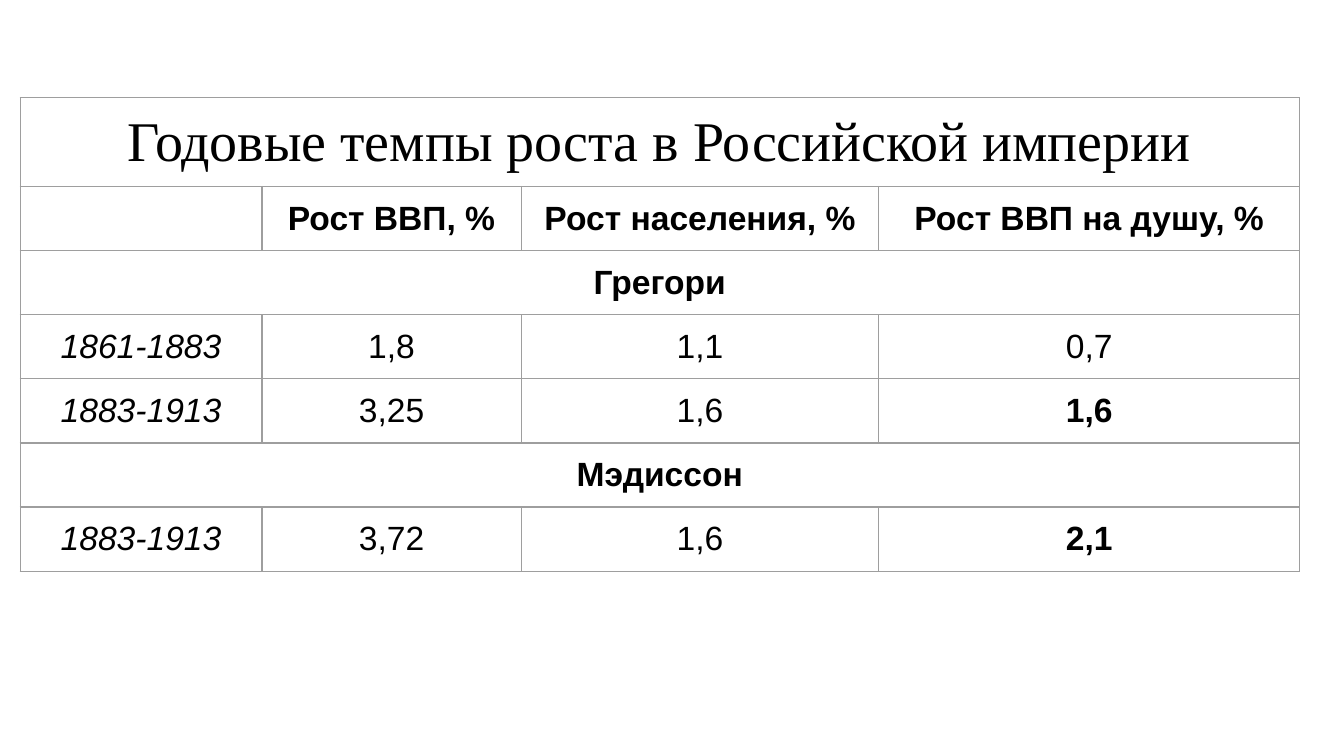
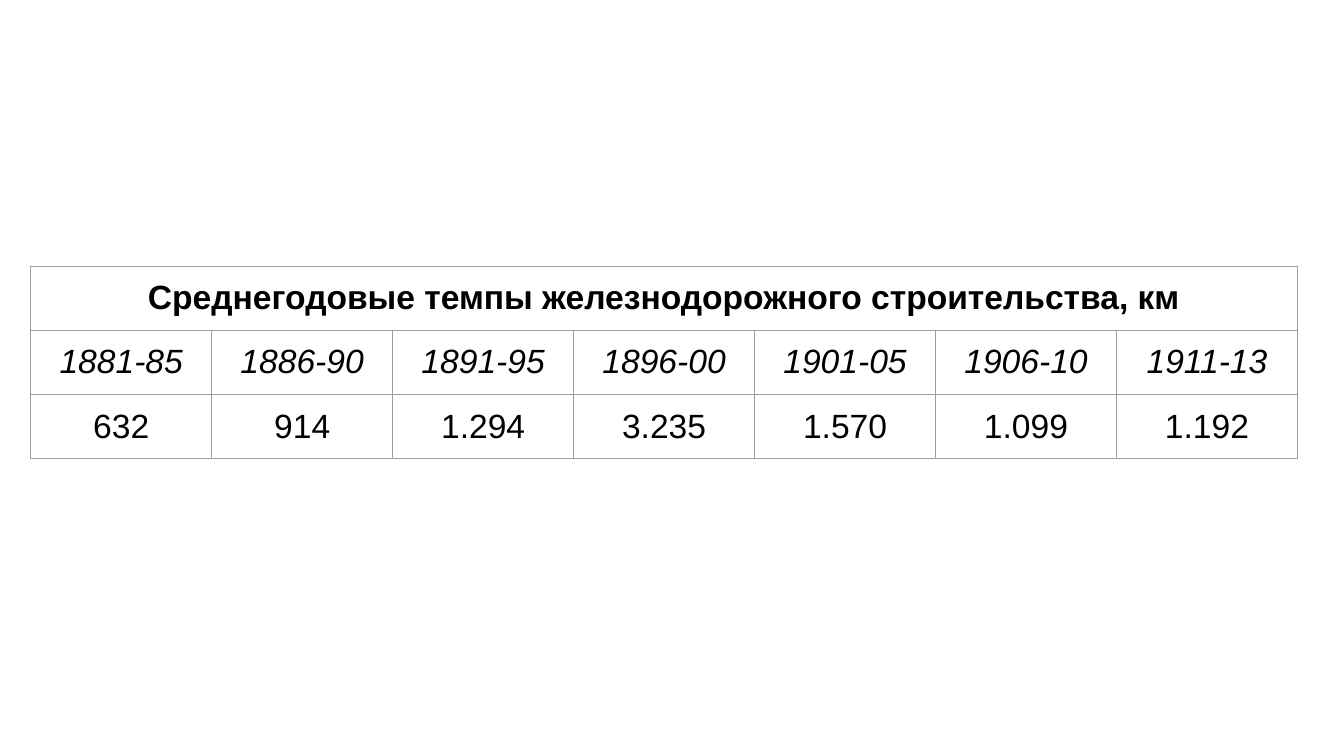
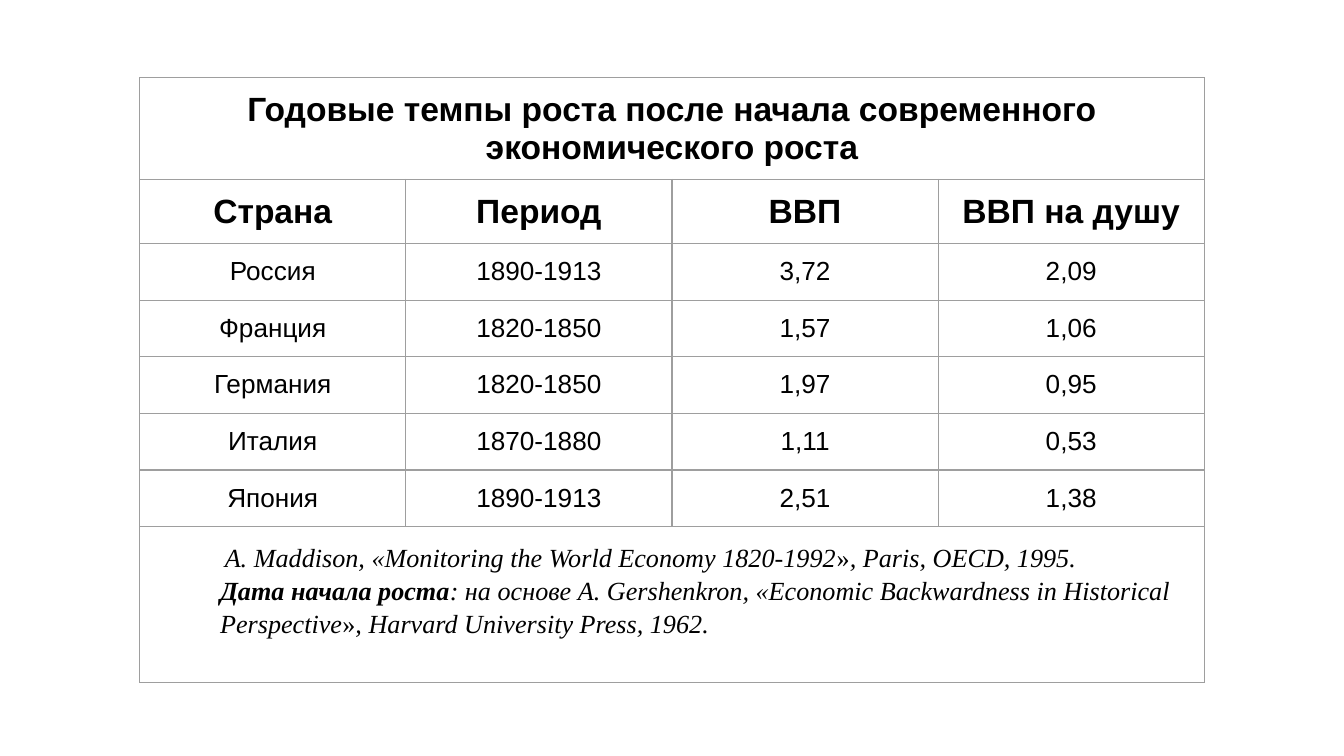
from dataclasses import dataclass
from typing import NamedTuple

from lxml import etree
from pptx import Presentation
from pptx.dml.color import RGBColor
from pptx.enum.text import MSO_ANCHOR, PP_ALIGN
from pptx.oxml.ns import qn
from pptx.util import Cm, Length, Pt

CENTER = PP_ALIGN.CENTER
LEFT = PP_ALIGN.LEFT
TOP = MSO_ANCHOR.TOP
BLANK_LAYOUT = 6
SIDES = ("lnL", "lnR", "lnT", "lnB")


@dataclass(frozen=True)
class Theme:
    ink: str = "000000"
    rule: str = "9E9E9E"
    rule_width: Length = Pt(0.75)
    sans: str = "Arial"
    serif: str = "Times New Roman"
    headline: int = 30
    body: int = 18
    small: int = 14
    tiny: int = 10
    cell_margin: Length = Cm(0.25)
    row_height: Length = Cm(1.07)
    note_indent: Length = Cm(1.27)
    note_spacing: float = 1.15


THEME = Theme()


class Style(NamedTuple):
    size: int = THEME.body
    font: str = THEME.sans
    bold: bool = False
    italic: bool = False


class Span(NamedTuple):
    text: str
    style: Style


class Para(NamedTuple):
    spans: tuple[Span, ...]
    note: bool = False


Cell = tuple[Para, ...]


@dataclass(frozen=True)
class Row:
    cells: tuple[Cell, ...]
    height: Length = THEME.row_height


@dataclass(frozen=True)
class Sheet:
    left: Length
    top: Length
    widths: tuple[Length, ...]
    rows: tuple[Row, ...]


PLAIN = Style()
BOLD = Style(bold=True)
ITALIC = Style(italic=True)
SMALL = Style(size=THEME.small)
HEADLINE = Style(size=THEME.headline, font=THEME.serif)
NOTE = Style(size=THEME.small, font=THEME.serif, italic=True)
NOTE_BOLD = NOTE._replace(bold=True)
NOTE_UPRIGHT = NOTE._replace(italic=False)
NOTE_LEAD = NOTE._replace(size=THEME.tiny)


def cell_of(text: str, style: Style) -> Cell:
    return (Para((Span(text, style),) if text else ()),)


def row_of(style: Style, *texts: str) -> Row:
    return Row(tuple(cell_of(text, style) for text in texts))


def period_row(period: str, growth: str, population: str, per_head: str,
               per_head_style: Style = PLAIN) -> Row:
    return Row((cell_of(period, ITALIC), cell_of(growth, PLAIN),
                cell_of(population, PLAIN), cell_of(per_head, per_head_style)))


SOURCES: Cell = (
    Para((
        Span(" ", NOTE_LEAD),
        Span("A. Maddison, «Monitoring the World Economy 1820-1992", NOTE),
        Span("»", NOTE_UPRIGHT),
        Span(", Paris, OECD, 1995.", NOTE),
    ), note=True),
    Para((
        Span("Дата начала роста", NOTE_BOLD),
        Span(": на основе A. Gershenkron, «Economic Backwardness in Historical Perspective", NOTE),
        Span("»", NOTE_UPRIGHT),
        Span(", Harvard University Press, 1962.", NOTE),
    ), note=True),
)

EMPIRE_GROWTH = Sheet(
    Cm(0.38), Cm(1.85), (Cm(4.57), Cm(4.9), Cm(6.76), Cm(7.95)),
    (
        row_of(HEADLINE, "Годовые темпы роста в Российской империи"),
        row_of(BOLD, "", "Рост ВВП, %", "Рост населения, %", "Рост ВВП на душу, %"),
        row_of(BOLD, "Грегори"),
        period_row("1861-1883", "1,8", "1,1", "0,7"),
        period_row("1883-1913", "3,25", "1,6", "1,6", BOLD),
        row_of(BOLD, "Мэдиссон"),
        period_row("1883-1913", "3,72", "1,6", "2,1", BOLD),
    ),
)

RAILWAYS = Sheet(
    Cm(0.58), Cm(5.03), (Cm(3.42),) * 7,
    (
        row_of(BOLD, "Среднегодовые темпы железнодорожного строительства, км"),
        row_of(ITALIC, "1881-85", "1886-90", "1891-95", "1896-00",
               "1901-05", "1906-10", "1911-13"),
        row_of(PLAIN, "632", "914", "1.294", "3.235", "1.570", "1.099", "1.192"),
    ),
)

COUNTRIES = Sheet(
    Cm(2.64), Cm(1.47), (Cm(5.03),) * 4,
    (
        row_of(BOLD, "Годовые темпы роста после начала современного экономического роста"),
        row_of(BOLD, "Страна", "Период", "ВВП", "ВВП на душу"),
        row_of(SMALL, "Россия", "1890-1913", "3,72", "2,09"),
        row_of(SMALL, "Франция", "1820-1850", "1,57", "1,06"),
        row_of(SMALL, "Германия", "1820-1850", "1,97", "0,95"),
        row_of(SMALL, "Италия", "1870-1880", "1,11", "0,53"),
        row_of(SMALL, "Япония", "1890-1913", "2,51", "1,38"),
        Row((SOURCES,), Cm(2.95)),
    ),
)


def frame_cell(box) -> None:
    box.margin_left = box.margin_right = THEME.cell_margin
    box.margin_top = box.margin_bottom = THEME.cell_margin
    box.vertical_anchor = TOP
    properties = box._tc.get_or_add_tcPr()
    for side in SIDES:
        line = etree.SubElement(properties, qn(f"a:{side}"), w=str(THEME.rule_width))
        fill = etree.SubElement(line, qn("a:solidFill"))
        etree.SubElement(fill, qn("a:srgbClr"), val=THEME.rule)
    box.fill.background()


def shrink_empty(box) -> None:
    mark = etree.SubElement(box.text_frame.paragraphs[0]._p, qn("a:endParaRPr"),
                            sz=str(THEME.tiny * 100))
    etree.SubElement(mark, qn("a:latin"), typeface=THEME.sans)


def add_span(paragraph, span: Span) -> None:
    run = paragraph.add_run()
    run.text = span.text
    font = run.font
    font.name = span.style.font
    font.size = Pt(span.style.size)
    font.bold = span.style.bold
    font.italic = span.style.italic
    font.color.rgb = RGBColor.from_string(THEME.ink)


def write_cell(box, cell: Cell) -> None:
    frame = box.text_frame
    for index, para in enumerate(cell):
        paragraph = frame.add_paragraph() if index else frame.paragraphs[0]
        paragraph.alignment = LEFT if para.note else CENTER
        if para.note:
            paragraph.line_spacing = THEME.note_spacing
            properties = paragraph._p.get_or_add_pPr()
            properties.set("marL", str(THEME.note_indent))
            properties.set("indent", "0")
        for span in para.spans:
            add_span(paragraph, span)


def draw_sheet(page, sheet: Sheet) -> None:
    last = len(sheet.widths) - 1
    table = page.shapes.add_table(
        len(sheet.rows), len(sheet.widths), sheet.left, sheet.top,
        sum(sheet.widths), sum(row.height for row in sheet.rows)).table
    table.first_row = table.horz_banding = False
    for column, width in zip(table.columns, sheet.widths):
        column.width = width
    for number, row in enumerate(sheet.rows):
        table.rows[number].height = row.height
        if len(row.cells) == 1:
            table.cell(number, 0).merge(table.cell(number, last))
        for position, cell in enumerate(row.cells):
            write_cell(table.cell(number, position), cell)
    for box in table.iter_cells():
        frame_cell(box)
        if not box.text:
            shrink_empty(box)


def main() -> None:
    deck = Presentation()
    deck.slide_width, deck.slide_height = Cm(25.4), Cm(14.29)
    for sheet in (EMPIRE_GROWTH, RAILWAYS, COUNTRIES):
        page = deck.slides.add_slide(deck.slide_layouts[BLANK_LAYOUT])
        draw_sheet(page, sheet)
    deck.save("out.pptx")


if __name__ == "__main__":
    main()
